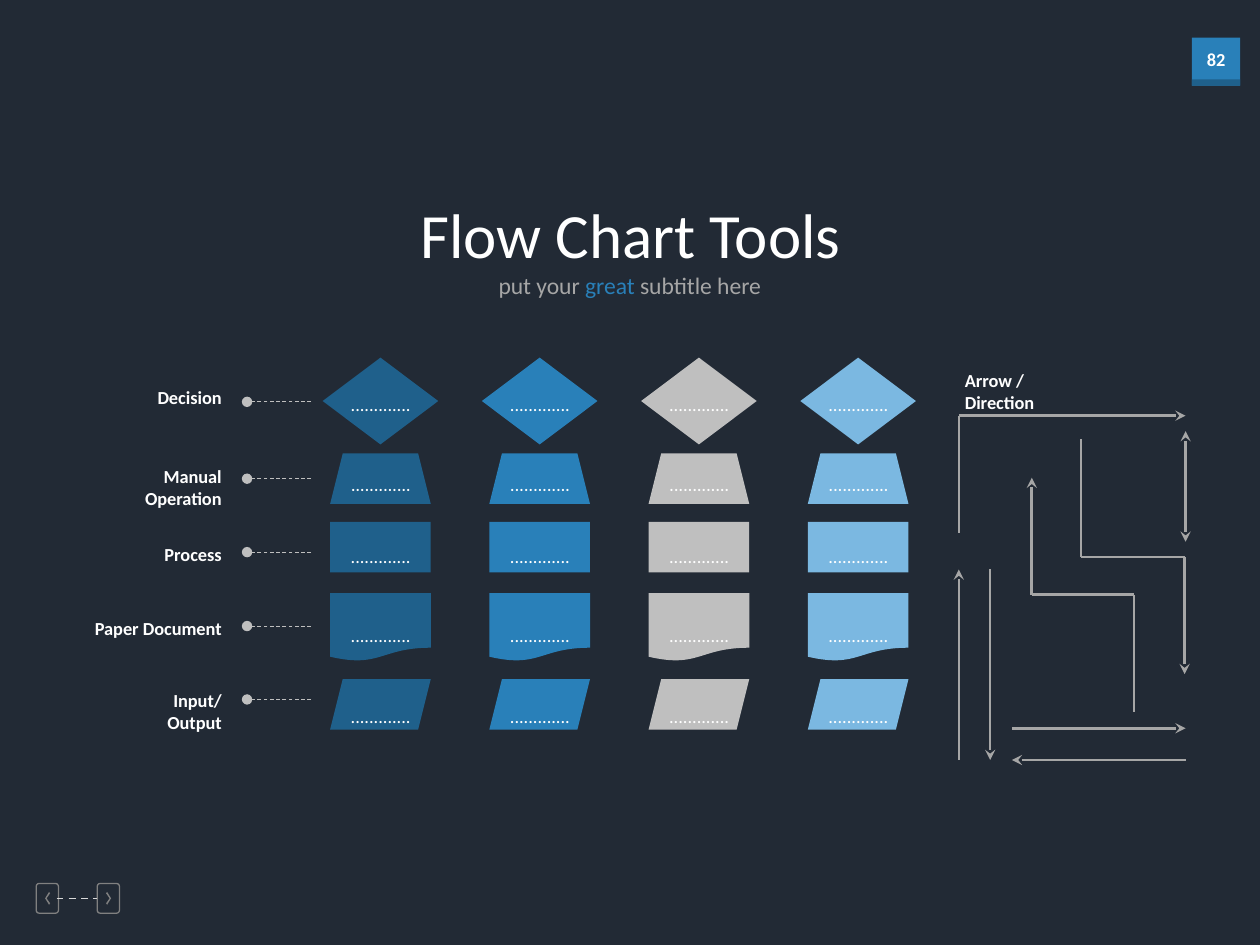
from lxml.etree import SubElement
from pptx import Presentation
from pptx.dml.color import RGBColor
from pptx.enum.dml import MSO_LINE_DASH_STYLE as Dash
from pptx.enum.shapes import MSO_CONNECTOR as Connector, MSO_SHAPE as Shape
from pptx.enum.text import MSO_AUTO_SIZE as AutoSize, PP_ALIGN as Align
from pptx.oxml.ns import qn
from pptx.util import Cm, Pt

FONT = "Calibri"
WHITE, SILVER, GRAY, NAV_GRAY = "FFFFFF", "BFBFBF", "A6A6A6", "808080"
BLUE, DARK_BLUE, LIGHT_BLUE, NAVY = "2980B9", "1F608B", "7BB8E1", "222A35"

COLUMN_COLORS = [DARK_BLUE, BLUE, SILVER, LIGHT_BLUE]
FIRST_CENTER, COLUMN_STEP = 7.67, 3.21

# symbol, top, width, height, top of dots, rotation of dots
SYMBOL_ROWS = [
    (Shape.DIAMOND, 7.21, 2.33, 1.75, 7.8, 0),
    (Shape.TRAPEZOID, 9.14, 2.03, 1.02, 9.65, 180),
    (Shape.RECTANGLE, 10.52, 2.03, 1.02, 10.87, 0),
    (Shape.FLOWCHART_DOCUMENT, 11.96, 2.03, 1.37, 12.45, 0),
    (Shape.PARALLELOGRAM, 13.69, 2.03, 1.02, 14.1, 0),
]

# label, top, width, height of its leader
ROW_LABELS = [
    ("Decision", 7.67, 1.9, 8.1),
    ("Manual Operation", 9.25, 3.25, 9.65),
    ("Process", 10.82, 1.8, 11.13),
    ("Paper Document", 12.32, 3.12, 12.62),
    ("Input/Output", 13.77, 2.54, 14.1),
]
LABEL_RIGHT = 4.72

# start, end, arrowhead at start, arrowhead at end
ARROWS = [
    ((19.33, 10.74), (19.33, 8.38), None, None),
    ((19.33, 8.38), (23.9, 8.38), None, "stealth"),
    ((21.79, 11.23), (21.79, 8.84), None, None),
    ((21.79, 11.23), (23.88, 11.23), None, None),
    ((23.88, 13.59), (23.88, 11.23), "stealth", None),
    ((19.33, 11.48), (19.33, 15.32), "stealth", None),
    ((20.4, 15.32), (23.9, 15.32), "stealth", None),
    ((20.4, 14.68), (23.9, 14.68), None, "stealth"),
    ((19.96, 11.48), (19.96, 15.32), None, "stealth"),
    ((20.8, 11.99), (20.8, 9.63), None, "stealth"),
    ((20.8, 11.99), (22.86, 11.99), None, None),
    ((22.86, 14.35), (22.86, 11.99), None, None),
    ((23.9, 10.92), (23.9, 8.69), "stealth", "stealth"),
]


def paint(color_format, color):
    """Fill or colour a format object with a hex colour."""
    if hasattr(color_format, "solid"):
        color_format.solid()
        color_format = color_format.fore_color
    color_format.rgb = RGBColor.from_string(color)


def add_symbol(slide, kind, left, top, width, height, color):
    """Add a flat preset shape."""
    symbol = slide.shapes.add_shape(kind, Cm(left), Cm(top), Cm(width), Cm(height))
    symbol.shadow.inherit = False
    paint(symbol.fill, color)
    symbol.line.fill.background()
    return symbol


def add_text(slide, text, left, top, width, height=0.71, size=10.5, color=WHITE,
             bold=False, align=Align.CENTER, wrap=True, rotation=0):
    """Add a text box; text is a string or a list of (string, colour) pairs."""
    box = slide.shapes.add_textbox(Cm(left), Cm(top), Cm(width), Cm(height))
    box.rotation = rotation
    frame = box.text_frame
    frame.word_wrap = wrap
    frame.auto_size = AutoSize.SHAPE_TO_FIT_TEXT
    paragraph = frame.paragraphs[0]
    paragraph.alignment = align
    for words, shade in [(text, color)] if isinstance(text, str) else text:
        run = paragraph.add_run()
        run.text = words
        run.font.name, run.font.size, run.font.bold = FONT, Pt(size), bold
        paint(run.font.color, shade)


def add_line(slide, start, end, color, weight, head=None, tail=None, dash=None):
    """Add a straight connector with optional dashes and line ends."""
    line = slide.shapes.add_connector(
        Connector.STRAIGHT, *(Cm(value) for value in (*start, *end)))
    paint(line.line.fill, color)
    line.line.width = Pt(weight)
    if dash:
        line.line.dash_style = dash
    stroke = line.line._get_or_add_ln()
    for tag, ending in (("a:headEnd", head), ("a:tailEnd", tail)):
        if ending:
            SubElement(stroke, qn(tag)).set("type", ending)
    SubElement(line._element.spPr, qn("a:effectLst"))
    return line


def add_nav_button(slide, left, tip, direction):
    """Add an outlined button with a chevron whose tip faces away from direction."""
    button = add_symbol(slide, Shape.ROUNDED_RECTANGLE, left, 17.81, 0.45, 0.6, NAVY)
    button.adjustments[0] = 0.14
    button.fill.background()
    paint(button.line.fill, NAV_GRAY)
    button.line.width = Pt(0.75)
    corners = [(0.08, -0.13), (0, 0), (0.08, 0.13), (0.1, 0.1), (0.03, 0), (0.1, -0.1)]
    points = [(Cm(tip + direction * x), Cm(18.11 + y)) for x, y in corners]
    outline = slide.shapes.build_freeform(*points[0])
    outline.add_line_segments(points[1:], close=True)
    chevron = outline.convert_to_shape()
    chevron.shadow.inherit = False
    paint(chevron.fill, NAV_GRAY)
    chevron.line.fill.background()
    return button


def add_page_furniture(slide):
    """Add the page number badge and the navigation buttons."""
    add_symbol(slide, Shape.RECTANGLE, 24.03, 0.76, 0.97, 0.97, BLUE)
    add_symbol(slide, Shape.RECTANGLE, 24.03, 1.6, 0.97, 0.13, DARK_BLUE)
    add_text(slide, "82", 24.03, 0.84, 0.97, bold=True, wrap=False)
    add_nav_button(slide, 0.73, 0.91, 1)
    following = add_nav_button(slide, 1.96, 2.24, -1)
    link = add_line(slide, (1.14, 18.11), (1.96, 18.11), "D9D9D9", 1, dash=Dash.DASH)
    link.end_connect(following, 1)


def add_symbol_grid(slide):
    """Add every flow chart symbol in each of the column colours."""
    for column, color in enumerate(COLUMN_COLORS):
        center = FIRST_CENTER + column * COLUMN_STEP
        for kind, top, width, height, dots_top, rotation in SYMBOL_ROWS:
            add_symbol(slide, kind, center - width / 2, top, width, height, color)
            add_text(slide, "." * 13, center - 0.86, dots_top, 1.73,
                     wrap=False, rotation=rotation)


def add_row_labels(slide):
    """Add the row names and their dotted leaders."""
    for label, top, width, leader in ROW_LABELS:
        add_line(slide, (6.27, leader), (4.98, leader), SILVER, 0.5,
                 tail="oval", dash=Dash.DASH)
        add_text(slide, label, LABEL_RIGHT - width, top, width,
                 bold=True, align=Align.RIGHT)


def main():
    """Build and save the slide."""
    deck = Presentation()
    deck.slide_width, deck.slide_height = Cm(25.4), Cm(19.05)
    slide = deck.slides.add_slide(deck.slide_layouts[6])
    paint(slide.background.fill, NAVY)
    add_page_furniture(slide)
    add_text(slide, [("put your ", GRAY), ("great", BLUE), (" subtitle here", GRAY)],
             9.8, 5.33, 5.79, 0.84, size=13.5)
    add_text(slide, "Flow Chart Tools", 8.1, 3.81, 9.22, 1.8, size=36)
    add_symbol_grid(slide)
    add_row_labels(slide)
    for start, end, head, tail in ARROWS:
        add_line(slide, start, end, GRAY, 1.5, head, tail)
    add_text(slide, "Arrow / Direction", 19.2, 7.32, 3.07, bold=True, align=Align.LEFT)
    deck.save("out.pptx")


if __name__ == "__main__":
    main()
